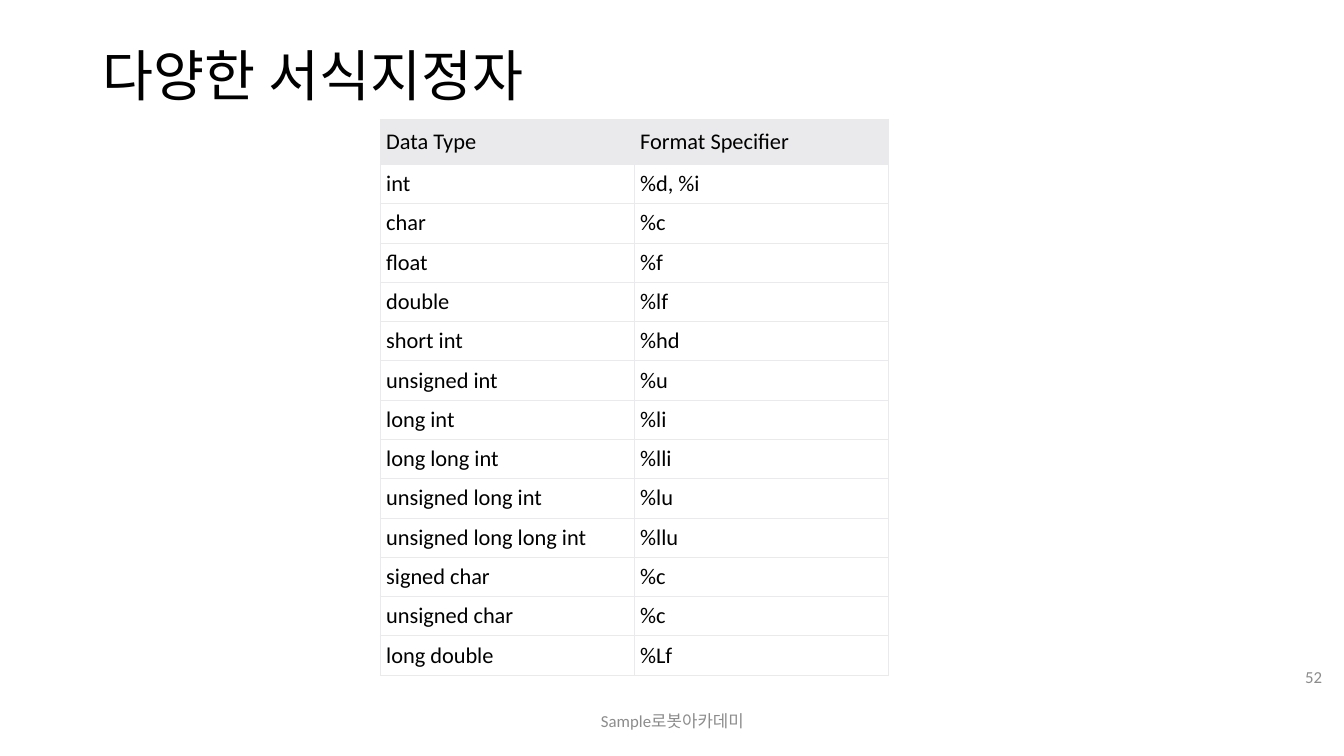
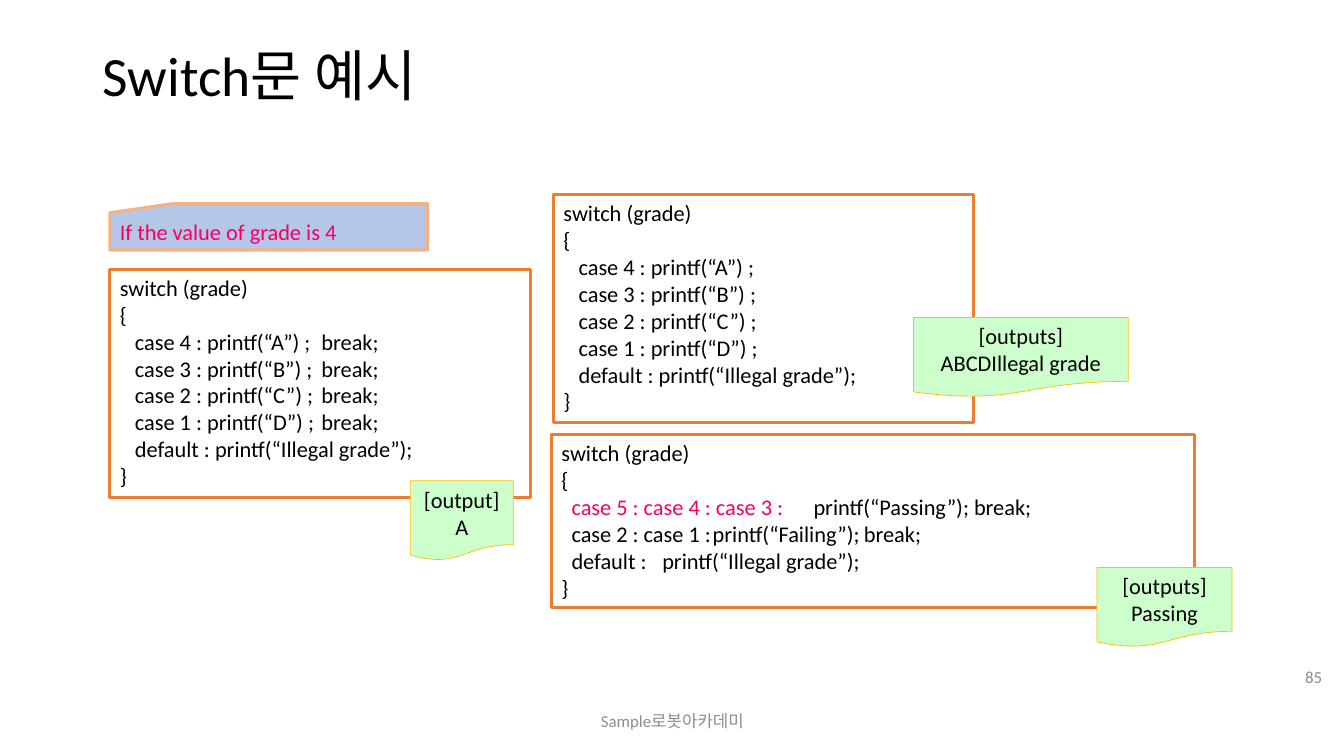
from dataclasses import dataclass

import pptx
import pptx.dml.color
import pptx.enum.shapes
import pptx.enum.text
import pptx.oxml
import pptx.oxml.ns
import pptx.util

Inches = pptx.util.Inches
Pt = pptx.util.Pt
RGBColor = pptx.dml.color.RGBColor
Shape = pptx.enum.shapes.MSO_SHAPE
Align = pptx.enum.text.PP_ALIGN
Anchor = pptx.enum.text.MSO_ANCHOR
AutoSize = pptx.enum.text.MSO_AUTO_SIZE

FONT = "Calibri"
BLACK = RGBColor(0x00, 0x00, 0x00)
WHITE = RGBColor(0xFF, 0xFF, 0xFF)
GRAY = RGBColor(0x8C, 0x8C, 0x8C)
TABLE_GRAY = RGBColor(0xEA, 0xEA, 0xEC)
PINK = RGBColor(0xF6, 0x00, 0x64)
ORANGE = RGBColor(0xED, 0x7D, 0x31)
PEACH = RGBColor(0xF4, 0xB1, 0x83)
BLUE = RGBColor(0xB4, 0xC7, 0xE7)
GREEN = RGBColor(0xCC, 0xFF, 0xCC)
GOLD = RGBColor(0xFF, 0xC0, 0x00)

FOOTER = "Sample로봇아카데미"

SPECIFIERS = [
    ("Data Type", "Format Specifier"),
    ("int", "%d, %i"),
    ("char", "%c"),
    ("float", "%f"),
    ("double", "%lf"),
    ("short int", "%hd"),
    ("unsigned int", "%u"),
    ("long int", "%li"),
    ("long long int", "%lli"),
    ("unsigned long int", "%lu"),
    ("unsigned long long int", "%llu"),
    ("signed char", "%c"),
    ("unsigned char", "%c"),
    ("long double", "%Lf"),
]


@dataclass(frozen=True)
class Line:
    """A paragraph: an optional coloured lead, text, indent and tab stops in inches."""
    text: str
    lead: str = ""
    indent: float = 0
    tabs: tuple[float, ...] = ()


@dataclass(frozen=True)
class Style:
    kind: Shape
    line: RGBColor
    width: float
    fill: RGBColor | None = None
    color: RGBColor = BLACK
    align: Align = Align.LEFT


@dataclass(frozen=True)
class Box:
    style: Style
    at: tuple[float, float, float, float]
    lines: list[Line]


CODE = Style(Shape.RECTANGLE, ORANGE, 2.25)
CONDITION = Style(Shape.FLOWCHART_CARD, PEACH, 2.25, BLUE, PINK)
OUTPUT = Style(Shape.FLOWCHART_DOCUMENT, GOLD, 0.5, GREEN, align=Align.CENTER)


def switch_code(*body: Line) -> list[Line]:
    return [Line("switch (grade)"), Line("{"), *body, Line("}")]


def grade_code(ending: str = "") -> list[Line]:
    cases = [Line(f"case {n} : printf(“{letter}”) ;{ending}", indent=0.15, tabs=(2,))
             for n, letter in zip((4, 3, 2, 1), "ABCD")]
    return switch_code(*cases, Line("default : printf(“Illegal grade”);", indent=0.15))


BOXES = [
    Box(CODE, (5.47, 4.31, 6.38, 1.72), switch_code(
        Line("\tprintf(“Passing”); break;", "case 5 : case 4 : case 3 :", 0.1, (2.31,)),
        Line("case 2 : case 1 :\tprintf(“Failing”);\tbreak;", indent=0.1, tabs=(2.14, 3.69)),
        Line("default :\tprintf(“Illegal grade”);", indent=0.1, tabs=(2.05,)))),
    Box(CODE, (1.09, 2.67, 4.17, 2.27), grade_code("\tbreak;")),
    Box(CODE, (5.49, 1.93, 4.17, 2.26), grade_code()),
    Box(CONDITION, (1.09, 2.02, 3.15, 0.46), [Line("If the value of grade is 4")]),
    Box(OUTPUT, (4.07, 4.77, 1.02, 0.79), [Line("[output]"), Line("A")]),
    Box(OUTPUT, (9.06, 3.15, 2.13, 0.79), [Line("[outputs]"), Line("ABCDIllegal grade")]),
    Box(OUTPUT, (10.88, 5.63, 1.34, 0.79), [Line("[outputs]"), Line("Passing")]),
]


def write(tf, lines: list[Line], *, size: float = 16, color: RGBColor = BLACK,
          align: Align = Align.LEFT, anchor: Anchor = Anchor.TOP,
          spacing: float | None = None) -> None:
    tf.word_wrap = True
    tf.vertical_anchor = anchor
    for i, line in enumerate(lines):
        p = tf.add_paragraph() if i else tf.paragraphs[0]
        p.alignment = align
        if spacing:
            p.line_spacing = spacing
        set_indent(p, line)
        for text, shade in ((line.lead, PINK), (line.text, color)):
            if text:
                r = p.add_run()
                r.text = text
                r.font.name = FONT
                r.font.size = Pt(size)
                r.font.bold = False
                r.font.color.rgb = shade


def set_indent(p, line: Line) -> None:
    """Indent the first line only, so that tab stops count from the text edge."""
    pPr = p._p.get_or_add_pPr()
    if line.indent:
        pPr.set("marL", "0")
        pPr.set("indent", str(Inches(line.indent)))
    if line.tabs:
        stops = "".join(f'<a:tab pos="{Inches(t)}" algn="l"/>' for t in line.tabs)
        pPr.append(pptx.oxml.parse_xml(
            f'<a:tabLst {pptx.oxml.ns.nsdecls("a")}>{stops}</a:tabLst>'))


def add_label(slide, text: str, at: tuple[float, ...], align: Align) -> None:
    sp = slide.shapes.add_textbox(*map(Inches, at))
    write(sp.text_frame, [Line(text)], size=12, color=GRAY, align=align,
          anchor=Anchor.MIDDLE)


def add_slide(prs, title: str, number: int):
    slide = prs.slides.add_slide(prs.slide_layouts[5])
    sp = slide.shapes.title
    sp.left, sp.top, sp.width, sp.height = map(Inches, (0.92, 0.4, 11.5, 0.75))
    sp.text_frame.auto_size = AutoSize.NONE
    write(sp.text_frame, [Line(title)], size=39.6, anchor=Anchor.MIDDLE, spacing=0.9)
    add_label(slide, FOOTER, (4.42, 6.95, 4.5, 0.4), Align.CENTER)
    add_label(slide, str(number), (12.59, 6.51, 0.62, 0.4), Align.RIGHT)
    return slide


def set_borders(cell) -> None:
    tcPr = cell._tc.get_or_add_tcPr()
    for i, side in enumerate(("lnL", "lnR", "lnT", "lnB")):
        tcPr.insert(i, pptx.oxml.parse_xml(
            f'<a:{side} {pptx.oxml.ns.nsdecls("a")} w="{Pt(0.5)}"><a:solidFill>'
            f'<a:srgbClr val="{TABLE_GRAY}"/></a:solidFill></a:{side}>'))


def add_specifier_table(slide) -> None:
    heights = [0.45] + [0.39] * (len(SPECIFIERS) - 1)
    table = slide.shapes.add_table(len(SPECIFIERS), 2, Inches(3.77), Inches(1.18),
                                   Inches(5.04), Inches(sum(heights))).table
    table.first_row = table.horz_banding = False
    for i, (height, texts) in enumerate(zip(heights, SPECIFIERS)):
        table.rows[i].height = Inches(height)
        for j, text in enumerate(texts):
            cell = table.cell(i, j)
            cell.margin_left, cell.margin_right = Inches(0.06), Inches(0.05)
            cell.margin_top = cell.margin_bottom = Inches(0.06 if i else 0.09)
            cell.vertical_anchor = Anchor.MIDDLE
            cell.fill.solid()
            cell.fill.fore_color.rgb = WHITE if i else TABLE_GRAY
            set_borders(cell)
            write(cell.text_frame, [Line(text)], anchor=Anchor.MIDDLE)


def add_box(slide, box: Box) -> None:
    style = box.style
    sp = slide.shapes.add_shape(style.kind, *map(Inches, box.at))
    sp.shadow.inherit = False
    if style.fill is None:
        sp.fill.background()
    else:
        sp.fill.solid()
        sp.fill.fore_color.rgb = style.fill
    sp.line.color.rgb = style.line
    sp.line.width = Pt(style.width)
    sp.text_frame.auto_size = AutoSize.SHAPE_TO_FIT_TEXT
    write(sp.text_frame, box.lines, color=style.color, align=style.align)


def main() -> None:
    prs = pptx.Presentation()
    prs.slide_width, prs.slide_height = Inches(13.33), Inches(7.5)
    add_specifier_table(add_slide(prs, "다양한 서식지정자", 52))
    slide = add_slide(prs, "Switch문 예시", 85)
    for box in BOXES:
        add_box(slide, box)
    prs.save("out.pptx")


if __name__ == "__main__":
    main()
